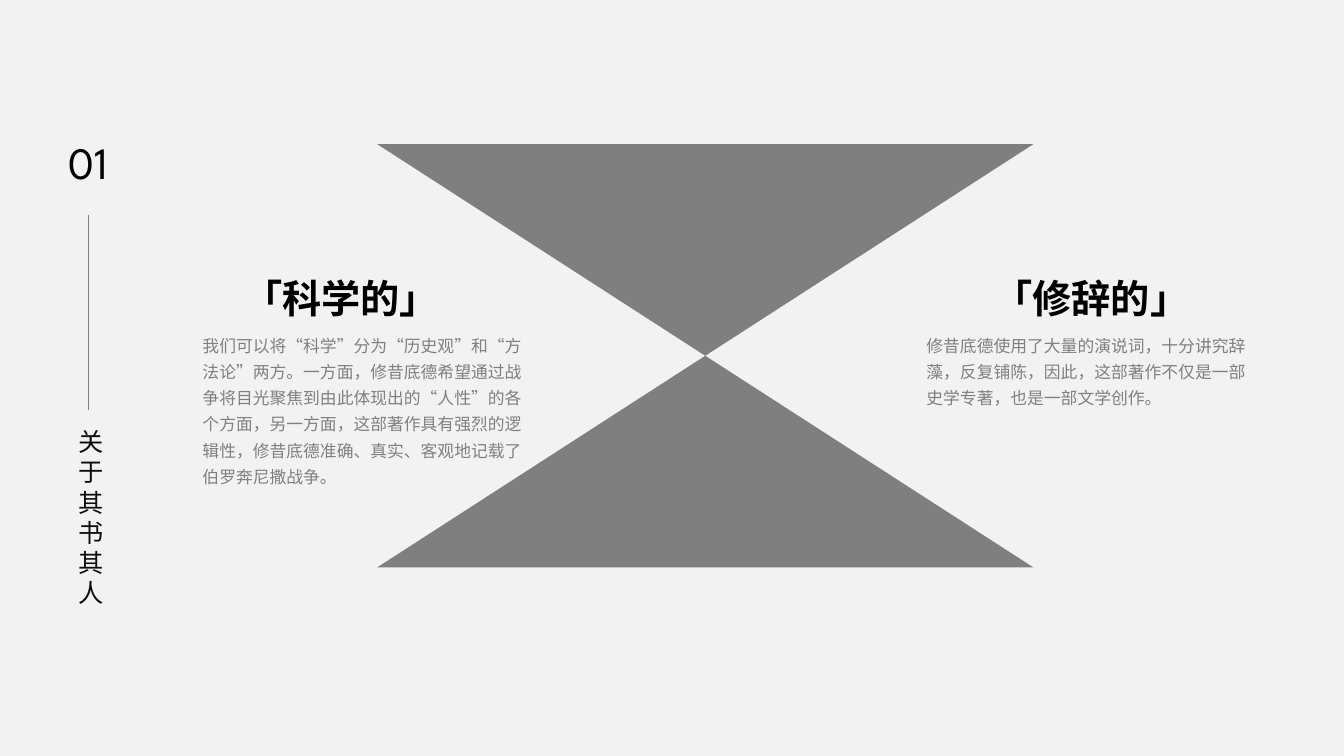
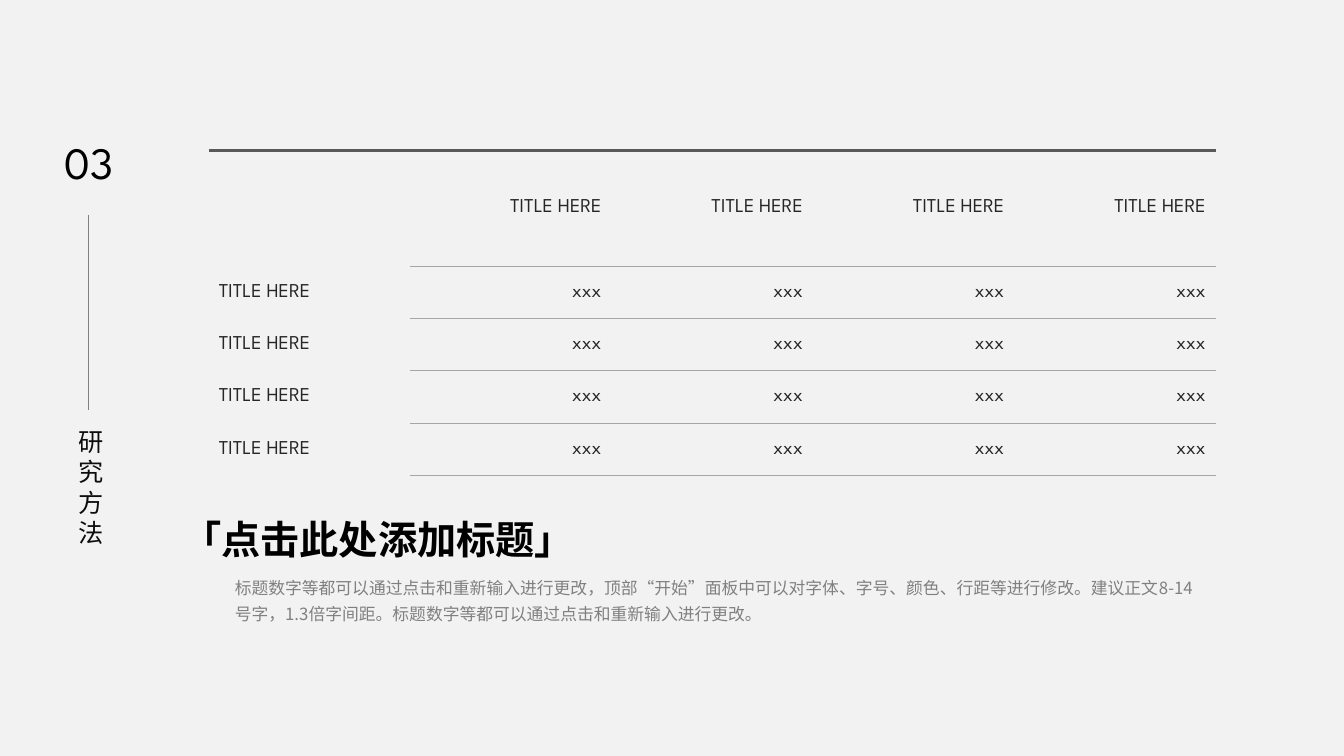
from lxml import etree
from pptx import Presentation
from pptx import util as u
from pptx.dml.color import RGBColor
from pptx.enum import shapes, text
from pptx.oxml.ns import qn

HUES = {
    "paper": "F2F2F2", "black": "000000", "ink": "0D0D0D", "cell": "262626",
    "body": "808080", "glass": "7F7F7F", "rule": "A6A6A6", "top": "595959",
}
LATIN, HAN = "League Spartan", "Noto Sans CJK SC"
LEFT, CENTER, RIGHT = (
    text.PP_ALIGN.LEFT, text.PP_ALIGN.CENTER, text.PP_ALIGN.RIGHT)


def hue(name):
    return RGBColor.from_string(HUES[name])


def write(frame, words, size, face, color, align=LEFT, bold=False, lead=1.0):
    frame.text = words
    para = frame.paragraphs[0]
    para.alignment = align
    para.line_spacing = lead
    for run in para.runs:
        font = run.font
        font.size = u.Pt(size)
        font.bold = bold
        font.color.rgb = hue(color)
        font.name = face
        # East Asian glyphs take their typeface from a separate element.
        east = etree.SubElement(run._r.get_or_add_rPr(), qn("a:ea"))
        east.set("typeface", face)


def add_text(slide, box, words, *style, wrap=True, **more):
    frame = slide.shapes.add_textbox(*map(u.Inches, box)).text_frame
    frame.word_wrap = wrap
    write(frame, words, *style, **more)


def add_head(slide, left, top, words, align):
    add_text(slide, (left, top, 4.53, 0.57), words, 28, HAN, "black",
             align=align, bold=True)


def add_body(slide, box, words):
    add_text(slide, box, words, 12, HAN, "body", lead=1.3)


def add_rule(slide, x, top, end):
    rule = slide.shapes.add_connector(
        shapes.MSO_CONNECTOR.STRAIGHT, *map(u.Inches, (x, top, x, end)))
    rule.line.color.rgb = hue("body")
    rule.line.width = u.Pt(0.5)
    etree.SubElement(rule._element.spPr, qn("a:effectLst"))


def add_page(deck, number, name):
    """Add a slide with its number, rule and vertical title at the left."""
    slide = deck.slides.add_slide(deck.slide_layouts[5])
    title = slide.shapes.title
    title.left, title.top = u.Inches(0.68), u.Inches(4.18)
    title.width, title.height = u.Inches(0.41), u.Inches(0.1 + 0.3 * len(name))
    frame = title.text_frame
    frame.word_wrap = True
    frame.auto_size = text.MSO_AUTO_SIZE.NONE
    frame.vertical_anchor = text.MSO_ANCHOR.TOP
    write(frame, name, 18, LATIN, "ink")
    add_text(slide, (0.53, 1.29, 0.7, 0.64), number, 32, LATIN, "black",
             align=CENTER, wrap=False)
    add_rule(slide, 0.88, 2.13, 4.07)
    return slide


def add_glass(slide):
    glass = slide.shapes.add_shape(
        shapes.MSO_SHAPE.FLOWCHART_COLLATE,
        *map(u.Inches, (3.74, 1.43, 6.51, 4.2)))
    glass.shadow.inherit = False
    glass.fill.solid()
    glass.fill.fore_color.rgb = hue("glass")
    glass.line.fill.background()


def set_edges(cell, **edges):
    """Draw the given T and B edges as (colour, points); hide the others."""
    props = cell._tc.get_or_add_tcPr()
    for side in "LRTB":
        color, width = edges.get(side) or (None, 0)
        line = etree.SubElement(props, qn(f"a:ln{side}"), w=str(u.Pt(width)))
        if color:
            fill = etree.SubElement(line, qn("a:solidFill"))
            etree.SubElement(fill, qn("a:srgbClr"), val=HUES[color])
        else:
            etree.SubElement(line, qn("a:noFill"))


def add_grid(slide, rows):
    count = len(rows[0])
    grid = slide.shapes.add_table(
        len(rows), count, *map(u.Inches, (2.07, 1.49, 9.99, 3.23))).table
    grid.first_row = grid.horz_banding = False
    for col in grid.columns:
        col.width = u.Inches(9.99 / count)
    thin, thick = ("rule", 1), ("top", 2.25)
    for r, row in enumerate(rows):
        grid.rows[r].height = u.Inches(0.52 if r else 1.15)
        for c, words in enumerate(row):
            cell = grid.cell(r, c)
            inner = thin if c else None
            set_edges(cell, T=inner if r else thick, B=inner)
            cell.fill.background()
            cell.vertical_anchor = text.MSO_ANCHOR.MIDDLE
            if words:
                write(cell.text_frame, words, 14, LATIN, "cell",
                      align=RIGHT if c else LEFT)


def add_book(deck):
    slide = add_page(deck, "01", "关于其书其人")
    add_glass(slide)
    add_head(slide, 1.12, 2.67, "「科学的」", CENTER)
    add_body(slide, (1.91, 3.22, 3.38, 1.65),
             "我们可以将“科学”分为“历史观”和“方法论”两方。一方面，"
             "修昔底德希望通过战争将目光聚焦到由此体现出的“人性”的各个方面，"
             "另一方面，这部著作具有强烈的逻辑性，修昔底德准确、真实、"
             "客观地记载了伯罗奔尼撒战争。")
    add_head(slide, 8.56, 2.67, "「修辞的」", CENTER)
    add_body(slide, (9.09, 3.22, 3.38, 0.86),
             "修昔底德使用了大量的演说词，十分讲究辞藻，反复铺陈，因此，"
             "这部著作不仅是一部史学专著，也是一部文学创作。")


def add_method(deck):
    slide = add_page(deck, "03", "研究方法")
    label = "TITLE HERE"
    add_grid(slide, [[""] + [label] * 4] + [[label] + ["xxx"] * 4] * 4)
    add_head(slide, 1.71, 5.06, "「点击此处添加标题」", LEFT)
    add_body(slide, (2.23, 5.62, 9.82, 0.63),
             "标题数字等都可以通过点击和重新输入进行更改，顶部“开始”面板中"
             "可以对字体、字号、颜色、行距等进行修改。建议正文8-14号字，"
             "1.3倍字间距。标题数字等都可以通过点击和重新输入进行更改。")


def main():
    deck = Presentation()
    deck.slide_width, deck.slide_height = u.Inches(13.33), u.Inches(7.5)
    paper = deck.slide_master.background.fill
    paper.solid()
    paper.fore_color.rgb = hue("paper")
    add_book(deck)
    add_method(deck)
    deck.save("out.pptx")


if __name__ == "__main__":
    main()
